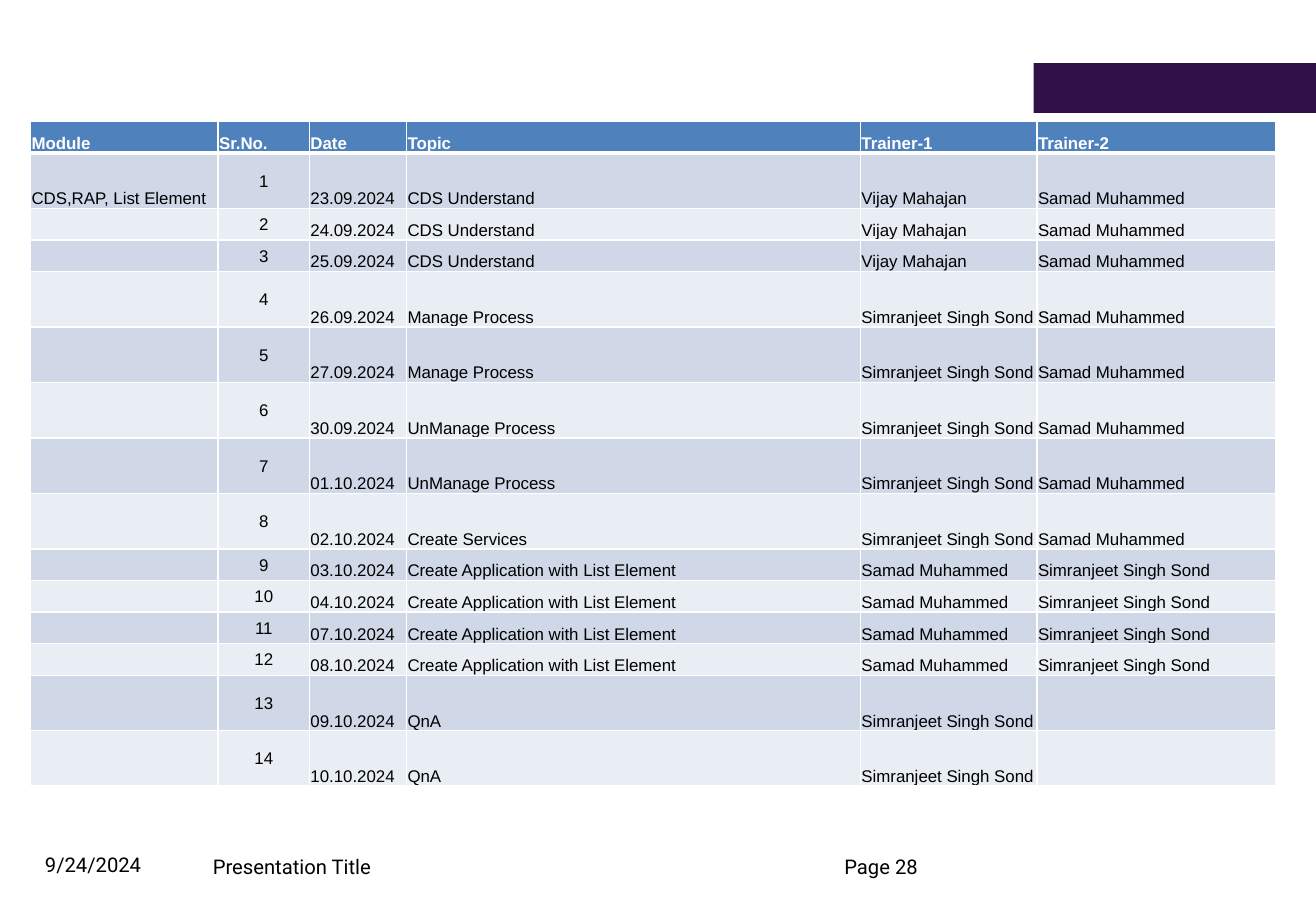
from lxml.etree import SubElement
from pptx import Presentation
from pptx.dml.color import RGBColor
from pptx.enum.shapes import MSO_SHAPE
from pptx.enum.text import MSO_ANCHOR, PP_ALIGN
from pptx.oxml.ns import qn
from pptx.util import Cm, Pt

COLORS = {"header": "4F81BD", "odd": "D0D8E8", "even": "E9EDF4",
          "white": "FFFFFF", "black": "000000", "accent": "301047"}
VIJAY, SAMAD, SIMRAN = "Vijay Mahajan", "Samad Muhammed", "Simranjeet Singh Sond"
MODULE = "CDS,RAP, List Element"
APP = "Create Application with List Element"
HEADERS = ["Module", "Sr.No.", "Date", "Topic", "Trainer-1", "Trainer-2"]
SESSIONS = [
    ("23.09.2024", "CDS Understand", VIJAY, SAMAD),
    ("24.09.2024", "CDS Understand", VIJAY, SAMAD),
    ("25.09.2024", "CDS Understand", VIJAY, SAMAD),
    ("26.09.2024", "Manage Process", SIMRAN, SAMAD),
    ("27.09.2024", "Manage Process", SIMRAN, SAMAD),
    ("30.09.2024", "UnManage Process", SIMRAN, SAMAD),
    ("01.10.2024", "UnManage Process", SIMRAN, SAMAD),
    ("02.10.2024", "Create Services", SIMRAN, SAMAD),
    ("03.10.2024", APP, SAMAD, SIMRAN),
    ("04.10.2024", APP, SAMAD, SIMRAN),
    ("07.10.2024", APP, SAMAD, SIMRAN),
    ("08.10.2024", APP, SAMAD, SIMRAN),
    ("09.10.2024", "QnA", SIMRAN, ""),
    ("10.10.2024", "QnA", SIMRAN, ""),
]
FOOTERS = [
    ("9/24/2024", 0.94, 17.55, 4.01, 0.79, MSO_ANCHOR.BOTTOM),
    ("Presentation Title", 4.45, 17.58, 4.95, 0.79, MSO_ANCHOR.BOTTOM),
    ("Page 28", 17.65, 17.93, 3.53, 0.43, MSO_ANCHOR.TOP),
]
COL_WIDTHS = [3.92, 1.91, 2.03, 9.49, 3.69, 4.99]
SHORT, TALL = 0.66, 1.16


def rgb(name):
    return RGBColor.from_string(COLORS[name])


def write(tf, text, font="Arial", size=10, color="black", bold=False,
          align=PP_ALIGN.LEFT, spacing=1.0):
    p = tf.paragraphs[0]
    p.alignment = align
    p.line_spacing = spacing
    if not text:
        SubElement(p._p, qn("a:endParaRPr"), sz=str(size * 100))
        return
    r = p.add_run()
    r.text = text
    r.font.name, r.font.size, r.font.bold = font, Pt(size), bold
    r.font.color.rgb = rgb(color)


def add_borders(cell, top, bottom):
    tcPr = cell._tc.get_or_add_tcPr()
    for side, width in (("L", 1), ("R", 1), ("T", top), ("B", bottom)):
        ln = SubElement(tcPr, qn(f"a:ln{side}"), w=str(Pt(width)))
        fill = SubElement(ln, qn("a:solidFill"))
        SubElement(fill, qn("a:srgbClr"), val=COLORS["white"])


def add_footer(s, text, x, y, w, h, anchor):
    tf = s.shapes.add_textbox(Cm(x), Cm(y), Cm(w), Cm(h)).text_frame
    tf.margin_left = tf.margin_right = tf.margin_top = tf.margin_bottom = 0
    tf.word_wrap = True
    tf.vertical_anchor = anchor
    write(tf, text, font="Roboto", size=12, spacing=0.9)


def add_schedule(s):
    rows = [HEADERS] + [(MODULE if n == 1 else "", str(n), *session)
                        for n, session in enumerate(SESSIONS, 1)]
    heights = [TALL if n == 1 or row[4] == SIMRAN else SHORT
               for n, row in enumerate(rows)]
    table = s.shapes.add_table(len(rows), len(HEADERS), Cm(0.64), Cm(2.54),
                               Cm(sum(COL_WIDTHS)), Cm(sum(heights))).table
    for column, width in zip(table.columns, COL_WIDTHS):
        column.width = Cm(width)
    for n, row in enumerate(rows):
        table.rows[n].height = Cm(heights[n])
        header = n == 0
        fill = "header" if header else "odd" if n % 2 else "even"
        for c, text in enumerate(row):
            cell = table.cell(n, c)
            number = c == 1 and not header
            cell.margin_left = cell.margin_right = cell.margin_top = Cm(0.02)
            cell.margin_bottom = 0
            cell.vertical_anchor = MSO_ANCHOR.MIDDLE if number else MSO_ANCHOR.BOTTOM
            add_borders(cell, 3 if n == 1 else 1, 3 if header else 1)
            cell.fill.solid()
            cell.fill.fore_color.rgb = rgb(fill)
            write(cell.text_frame, text, bold=header,
                  color="white" if header else "black",
                  align=PP_ALIGN.CENTER if number else PP_ALIGN.LEFT)


def main():
    prs = Presentation()
    prs.slide_width, prs.slide_height = Cm(27.51), Cm(19.05)
    s = prs.slides.add_slide(prs.slide_layouts[6])
    for footer in FOOTERS:
        add_footer(s, *footer)
    sp = s.shapes.add_shape(MSO_SHAPE.RECTANGLE, Cm(21.61), Cm(1.32), Cm(5.9), Cm(1.04))
    sp.shadow.inherit = False
    sp.fill.solid()
    sp.fill.fore_color.rgb = rgb("accent")
    sp.line.fill.background()
    add_schedule(s)
    prs.save("out.pptx")


if __name__ == "__main__":
    main()
